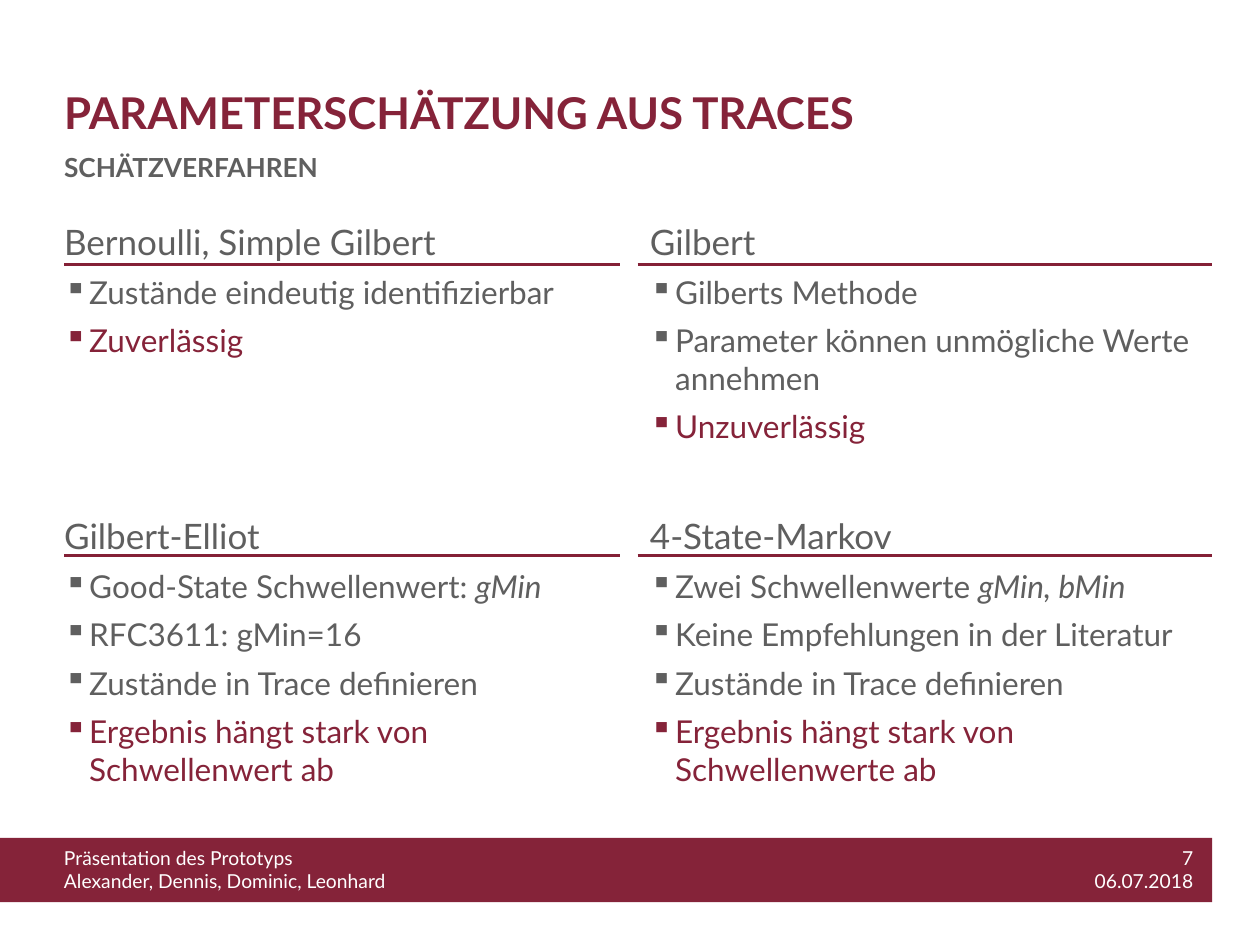
from lxml.etree import SubElement
from pptx import Presentation
from pptx.dml.color import RGBColor
from pptx.enum.shapes import MSO_CONNECTOR as Connector, MSO_SHAPE as Shape
from pptx.enum.text import MSO_ANCHOR as Anchor, PP_ALIGN as Align
from pptx.oxml.ns import qn
from pptx.util import Inches, Pt

WINE = RGBColor(0x85, 0x23, 0x39)
RULE_WINE = RGBColor(0x84, 0x20, 0x36)
GREY = RGBColor(0x5F, 0x5F, 0x5F)
WHITE = RGBColor(0xFF, 0xFF, 0xFF)

COLUMNS, ROWS = 100, 75
TEXT_LEFT, RULE_LEFT, HALF, RIGHT_EDGE = 4.1, 5.1, 50.6, 96.2
BODY_TOP, BODY_WIDTH, BODY_HEIGHT = 17, 45.1, 47.2
RULE_ROWS = (21, 44.1)

BERNOULLI = ("Bernoulli, Simple Gilbert",
             [["Zustände eindeutig identifizierbar"]],
             "Zuverlässig")
GILBERT = ("Gilbert",
           [["Gilberts Methode"], ["Parameter können unmögliche Werte annehmen"]],
           "Unzuverlässig")
ELLIOT = ("Gilbert-Elliot",
          [["Good-State Schwellenwert: ", "gMin"], ["RFC3611: gMin=16"],
           ["Zustände in Trace definieren"]],
          "Ergebnis hängt stark von Schwellenwert ab")
MARKOV = ("4-State-Markov",
          [["Zwei Schwellenwerte ", "gMin, bMin"], ["Keine Empfehlungen in der Literatur"],
           ["Zustände in Trace definieren"]],
          "Ergebnis hängt stark von Schwellenwerte ab")


def write(paragraph, text, size=18, color=GREY, bold=False, italic=False, align=Align.LEFT):
    paragraph.alignment = align
    for index, line in enumerate(text.split("\n")):
        if index:
            paragraph.add_line_break()
        run = paragraph.add_run()
        run.text = line
        font = run.font
        font.name, font.size, font.bold, font.italic = "Lato", Pt(size), bold, italic
        font.color.rgb = color


class Deck:
    def __init__(self):
        self.presentation = Presentation()
        self.presentation.slide_width = Inches(10)
        self.presentation.slide_height = Inches(7.5)
        self.slide = self.presentation.slides.add_slide(self.presentation.slide_layouts[6])

    def x(self, columns):
        return round(self.presentation.slide_width * columns / COLUMNS)

    def y(self, rows):
        return round(self.presentation.slide_height * rows / ROWS)

    def area(self, left, top, width, height):
        return self.x(left), self.y(top), self.x(width), self.y(height)

    def bar(self, *area):
        bar = self.slide.shapes.add_shape(Shape.RECTANGLE, *self.area(*area))
        bar.shadow.inherit = False
        bar.fill.solid()
        bar.fill.fore_color.rgb = WINE
        bar.line.fill.background()

    def frame(self, *area):
        frame = self.slide.shapes.add_textbox(*self.area(*area)).text_frame
        frame.word_wrap = True
        frame.vertical_anchor = Anchor.TOP
        return frame

    def label(self, text, *area, **style):
        write(self.frame(*area).paragraphs[0], text, **style)

    def bullet(self, frame, parts, color=GREY):
        paragraph = frame.add_paragraph()
        paragraph.space_before = Pt(6)
        properties = paragraph._p.get_or_add_pPr()
        properties.set("marL", str(Inches(0.2)))
        properties.set("indent", str(-Inches(0.2)))
        SubElement(properties, qn("a:buChar")).set("char", "▪")
        for index, part in enumerate(parts):
            write(paragraph, part, color=color, italic=index > 0)

    def methods(self, left, upper, lower, gap):
        frame = self.frame(left, BODY_TOP, BODY_WIDTH, BODY_HEIGHT)
        heading = frame.paragraphs[0]
        for space, (name, points, verdict) in ((6, upper), (gap, lower)):
            if name == lower[0]:
                heading = frame.add_paragraph()
            heading.space_before = Pt(space)
            write(heading, name, size=20)
            for parts in points:
                self.bullet(frame, parts)
            self.bullet(frame, [verdict], WINE)

    def rule(self, left, right, row):
        rule = self.slide.shapes.add_connector(
            Connector.STRAIGHT, self.x(left), self.y(row), self.x(right), self.y(row))
        rule.line.color.rgb = RULE_WINE
        rule.line.width = Pt(1.5)
        SubElement(rule._element.spPr, qn("a:effectLst"))


def main():
    deck = Deck()
    deck.bar(0, 66.5, RIGHT_EDGE, 5.1)
    deck.label("Präsentation des Prototyps\nAlexander, Dennis, Dominic, Leonhard",
               TEXT_LEFT, 66.7, 50.6, 4.7, size=11, color=WHITE)
    deck.label("7\n06.07.2018", 82.3, 66.7, 13.4, 4.7,
               size=11, color=WHITE, align=Align.RIGHT)
    deck.label("SCHÄTZVERFAHREN", TEXT_LEFT, 11.5, 71.2, 3.1, size=15, bold=True)
    deck.methods(TEXT_LEFT, BERNOULLI, ELLIOT, gap=88.8)
    deck.methods(HALF, GILBERT, MARKOV, gap=39.6)
    deck.label("PARAMETERSCHÄTZUNG AUS TRACES", TEXT_LEFT, 6.3, 71.1, 5.2,
               size=25, color=WINE, bold=True)
    for row in RULE_ROWS:
        deck.rule(RULE_LEFT, TEXT_LEFT + BODY_WIDTH, row)
        deck.rule(HALF, RIGHT_EDGE, row)
    deck.presentation.save("out.pptx")


if __name__ == "__main__":
    main()
